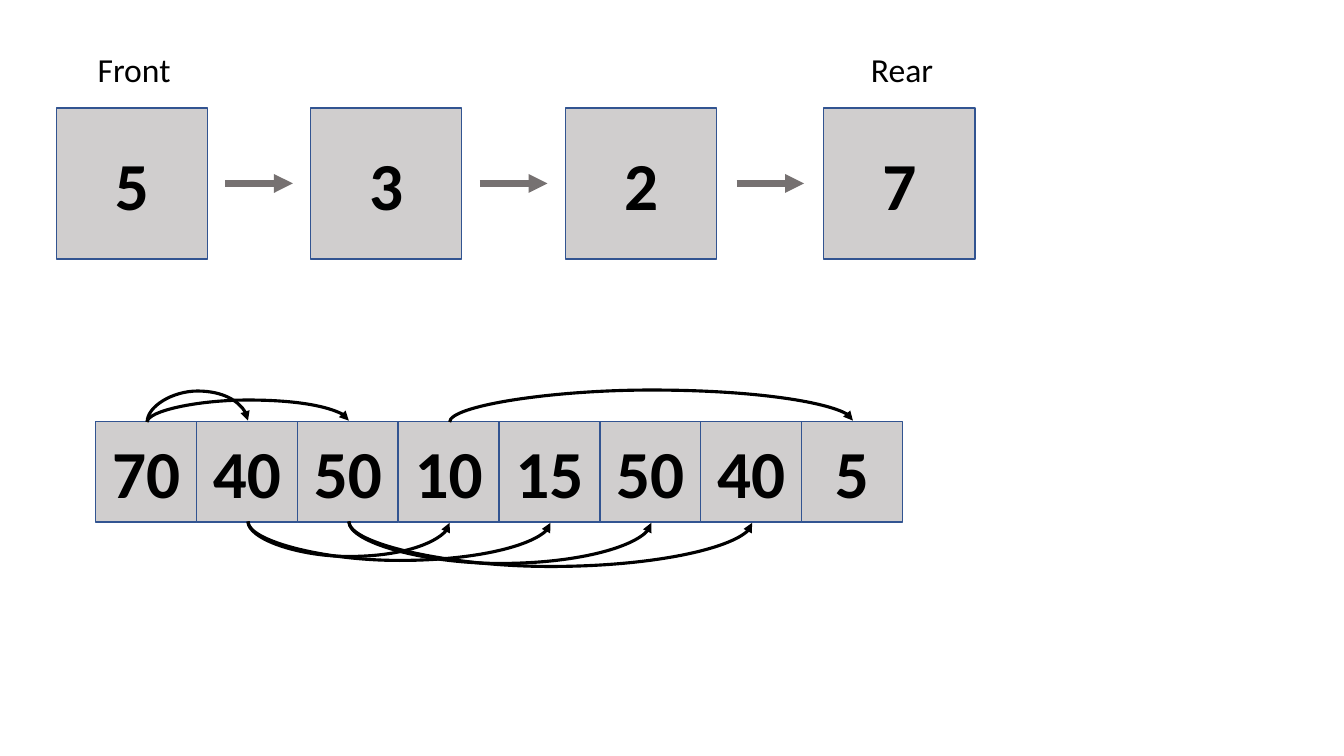
import dataclasses

import lxml.etree
import pptx
import pptx.dml.color
import pptx.enum.shapes
import pptx.enum.text
import pptx.oxml.ns
import pptx.util

Inches = pptx.util.Inches
Pt = pptx.util.Pt


@dataclasses.dataclass(frozen=True)
class Theme:
    font: str = "Calibri"
    text: str = "000000"
    box_fill: str = "D0CECE"
    box_line: str = "325491"
    link: str = "767171"
    curve: str = "000000"
    number_size: float = 48
    label_size: float = 24
    box_line_width: float = 1
    link_width: float = 4.5
    curve_width: float = 2.25


THEME = Theme()


def color(value):
    return pptx.dml.color.RGBColor.from_string(value)


def add_element(parent, tag, **attributes):
    return lxml.etree.SubElement(parent, pptx.oxml.ns.qn(tag), attributes)


def write(shape, text, size, bold=False):
    run = shape.text_frame.paragraphs[0].add_run()
    run.text = text
    run.font.name = THEME.font
    run.font.size = Pt(size)
    run.font.bold = bold
    run.font.color.rgb = color(THEME.text)


def add_number_box(shapes, left, top, side, number):
    box = shapes.add_shape(
        pptx.enum.shapes.MSO_SHAPE.RECTANGLE,
        Inches(left), Inches(top), Inches(side), Inches(side))
    box.shadow.inherit = False
    box.fill.solid()
    box.fill.fore_color.rgb = color(THEME.box_fill)
    box.line.color.rgb = color(THEME.box_line)
    box.line.width = Pt(THEME.box_line_width)
    box.text_frame.vertical_anchor = pptx.enum.text.MSO_ANCHOR.MIDDLE
    box.text_frame.paragraphs[0].alignment = pptx.enum.text.PP_ALIGN.CENTER
    write(box, str(number), THEME.number_size, bold=True)


def add_label(shapes, left, top, width, text):
    label = shapes.add_textbox(
        Inches(left), Inches(top), Inches(width), Inches(0.5))
    label.text_frame.word_wrap = False
    label.text_frame.auto_size = pptx.enum.text.MSO_AUTO_SIZE.SHAPE_TO_FIT_TEXT
    write(label, text, THEME.label_size)


def style_arrow(arrow, line_color, width):
    arrow.line.color.rgb = color(line_color)
    arrow.line.width = Pt(width)
    add_element(arrow.line._get_or_add_ln(), "a:tailEnd", type="triangle")
    add_element(arrow._element.spPr, "a:effectLst")


def add_link(shapes, left, y, length):
    arrow = shapes.add_connector(
        pptx.enum.shapes.MSO_CONNECTOR.STRAIGHT,
        Inches(left), Inches(y), Inches(left + length), Inches(y))
    style_arrow(arrow, THEME.link, THEME.link_width)


def add_arc(shapes, start, end, edge, bulge, above):
    """Curve from start to end, turned a quarter so it bulges off the edge."""
    thickness, span = Pt(1), Inches(end - start)
    arrow = shapes.add_connector(
        pptx.enum.shapes.MSO_CONNECTOR.CURVE, 0, 0, thickness, span)
    arrow.left = Inches((start + end) / 2) - thickness // 2
    arrow.top = Inches(edge) - span // 2
    frame = arrow._element.spPr.find(pptx.oxml.ns.qn("a:xfrm"))
    frame.set("rot", str((90 if above else 270) * 60000))
    frame.set("flipH", "1")
    if above:
        frame.set("flipV", "1")
    adjustments = arrow._element.spPr.find(
        pptx.oxml.ns.qn("a:prstGeom")).get_or_add_avLst()
    ratio = round(Inches(bulge) / thickness * 100000)
    add_element(adjustments, "a:gd", name="adj1", fmla=f"val {ratio}")
    style_arrow(arrow, THEME.curve, THEME.curve_width)


def add_queue(slide, left, top, side):
    """Linked boxes from front to rear."""
    shapes = slide.shapes.add_group_shape().shapes
    link_length = 0.67
    box_lefts = [left + offset for offset in (0, 2.52, 5.05, 7.61)]

    # Boxes
    for box_left, number in zip(box_lefts, (5, 3, 2, 7)):
        add_number_box(shapes, box_left, top, side, number)

    # Links, centred in the gaps
    for before, after in zip(box_lefts, box_lefts[1:]):
        middle = (before + side + after) / 2
        add_link(shapes, middle - link_length / 2, top + side / 2, link_length)

    # End labels
    add_label(shapes, box_lefts[0] + 0.31, top - 0.63, 0.93, "Front")
    add_label(shapes, box_lefts[-1] + 0.37, top - 0.63, 0.83, "Rear")


def add_heap(slide, left, top, side):
    """Array cells with arcs from each parent to its children."""
    shapes = slide.shapes.add_group_shape().shapes

    # Cells
    for index, number in enumerate((70, 40, 50, 10, 15, 50, 40, 5)):
        add_number_box(shapes, left + index * side, top, side, number)

    # Arcs: child index and bulge; the parent follows from the child
    bulges = (0.31, 0.22, 0.35, 0.39, 0.42, 0.45, 0.32)
    for child, bulge in enumerate(bulges, start=1):
        parent = (child - 1) // 2
        above = parent in (0, 3)
        start, end = (left + (index + 0.51) * side for index in (parent, child))
        add_arc(shapes, start, end, top if above else top + side, bulge, above)


presentation = pptx.Presentation()
presentation.slide_width = Inches(13.33)
presentation.slide_height = Inches(7.5)
slide = presentation.slides.add_slide(presentation.slide_layouts[6])
add_queue(slide, left=0.56, top=1.07, side=1.5)
add_heap(slide, left=0.95, top=4.18, side=1)
presentation.save("out.pptx")
